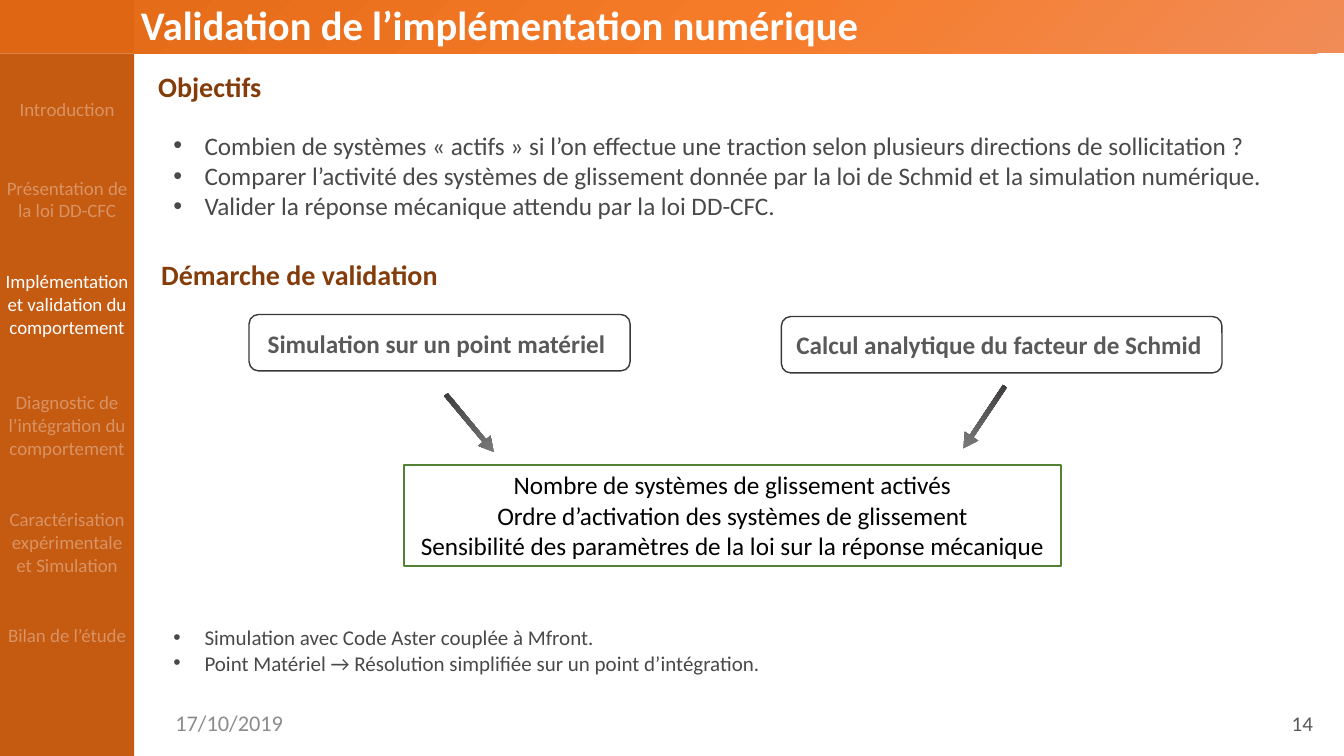
from dataclasses import dataclass

from lxml import etree
from pptx import Presentation
from pptx.dml.color import RGBColor
from pptx.enum.shapes import MSO_SHAPE
from pptx.enum.text import MSO_ANCHOR, PP_ALIGN
from pptx.oxml.ns import qn
from pptx.util import Inches, Pt

RECT = MSO_SHAPE.RECTANGLE
ROUNDED = MSO_SHAPE.ROUNDED_RECTANGLE
ARROW = MSO_SHAPE.STRIPED_RIGHT_ARROW
LEFT, CENTER, RIGHT = PP_ALIGN.LEFT, PP_ALIGN.CENTER, PP_ALIGN.RIGHT
TOP, MIDDLE, BOTTOM = MSO_ANCHOR.TOP, MSO_ANCHOR.MIDDLE, MSO_ANCHOR.BOTTOM


@dataclass(frozen=True)
class Theme:
    font: str = "Calibri"
    white: str = "FFFFFF"
    black: str = "000000"
    sidebar: str = "C55A11"
    corner: str = "DF6613"
    heading: str = "843C0B"
    body: str = "494949"
    label: str = "595959"
    date: str = "8C8C8C"
    outline: str = "3B3838"
    result: str = "548235"
    banner: tuple = ((0, "F18C57"), (50, "F67B28"), (100, "E56C19"))
    arrow: tuple = ((0, "808080"), (100, "3B3838"))
    title_size: float = 29
    heading_size: float = 20
    body_size: float = 18
    date_size: float = 16
    note_size: float = 15
    nav_size: float = 13.5
    faded: int = 35


THEME = Theme()


def add_text(page, box, lines, size, color, bold=False, align=LEFT, anchor=TOP,
             wrap=True, spacing=None, bullet=False, alpha=None):
    """Place a text box; alpha is the opacity of the letters in percent."""
    shape = page.shapes.add_textbox(*map(Inches, box))
    frame = shape.text_frame
    frame.text = "\n".join(lines)
    frame.word_wrap = wrap
    frame.vertical_anchor = anchor
    for para in frame.paragraphs:
        para.alignment = align
        if spacing:
            para.line_spacing = spacing
        if bullet:
            add_bullet(para)
        for span in para.runs:
            font = span.font
            font.name, font.size, font.bold = THEME.font, Pt(size), bold
            font.color.rgb = RGBColor.from_string(color)
            if alpha:
                tone = span._r.find(".//" + qn("a:srgbClr"))
                etree.SubElement(tone, qn("a:alpha"), val=str(alpha * 1000))
    return shape


def add_bullet(para):
    properties = para._p.get_or_add_pPr()
    indent = Inches(0.31)
    properties.set("marL", str(indent))
    properties.set("indent", str(-indent))
    etree.SubElement(properties, qn("a:buFont"), typeface="Arial")
    etree.SubElement(properties, qn("a:buChar"), char="•")


def add_block(page, kind, box, fill=None, line=None):
    shape = page.shapes.add_shape(kind, *map(Inches, box))
    shape.shadow.inherit = False
    if fill:
        shape.fill.solid()
        shape.fill.fore_color.rgb = RGBColor.from_string(fill)
    else:
        shape.fill.background()
    if line:
        shape.line.color.rgb = RGBColor.from_string(line)
        shape.line.width = Pt(1)
    else:
        shape.line.fill.background()
    return shape


def set_gradient(shape, stops, angle):
    """Fill with (percent, colour) stops along a clockwise angle in degrees."""
    shape.fill.gradient()
    gradient = shape._element.spPr.find(qn("a:gradFill"))
    for child in list(gradient):
        gradient.remove(child)
    stop_list = etree.SubElement(gradient, qn("a:gsLst"))
    for percent, color in stops:
        stop = etree.SubElement(stop_list, qn("a:gs"), pos=str(percent * 1000))
        etree.SubElement(stop, qn("a:srgbClr"), val=color)
    etree.SubElement(gradient, qn("a:lin"), ang=str(angle * 60000), scaled="0")


def draw_banner(page, box, corner_width):
    left, top, width, height = box
    band = add_block(page, RECT, (left + corner_width, top, width - corner_width, height))
    set_gradient(band, THEME.banner, 225)
    add_block(page, RECT, (left, top, corner_width, height), THEME.corner)
    add_text(page, (left + 1.3, top + 0.08, 7.7, 0.46),
             ["Validation de l’implémentation numérique"], THEME.title_size,
             THEME.white, bold=True, anchor=BOTTOM, spacing=0.9)


def draw_sidebar(page, box):
    left, top, width, height = box
    add_block(page, RECT, box, THEME.sidebar)
    current = "Implémentation et validation du comportement"
    sections = [
        ("Introduction", 0.39, 1.2),
        ("Présentation de la loi DD-CFC", 1.17, 1.42),
        (current, 2.1, 1.46),
        ("Diagnostic de l’intégration du comportement", 3.3, 1.5),
        ("Caractérisation expérimentale et Simulation", 4.46, 1.42),
        ("Bilan de l’étude", 5.61, 1.39),
    ]
    for name, offset, label_width in sections:
        label_left = left + (width - label_width) / 2
        add_text(page, (label_left, top + offset, label_width, 0.34), [name],
                 THEME.nav_size, THEME.white, align=CENTER,
                 alpha=None if name == current else THEME.faded)


def draw_heading(page, left, top, name):
    add_text(page, (left, top, 4.84, 0.38), [name], THEME.heading_size,
             THEME.heading, bold=True, spacing=0.9)


def draw_bullets(page, box, lines, size):
    add_text(page, box, lines, size, THEME.body, bullet=True)


def draw_method(page, box, name, label_offset):
    """Draw a rounded frame with its label, given the label's left and top offset."""
    left, top, width, height = box
    add_block(page, ROUNDED, box, line=THEME.outline)
    shift, drop, label_width = label_offset
    add_text(page, (left + shift, top + drop, label_width, 0.4), [name],
             THEME.body_size, THEME.label, bold=True, align=CENTER, wrap=False)


def draw_arrow(page, left, top, rotation):
    arrow = add_block(page, ARROW, (left, top, 0.74, 0.16))
    arrow.adjustments[0], arrow.adjustments[1] = 0.281, 0.909
    arrow.rotation = rotation
    set_gradient(arrow, THEME.arrow, 180)


def draw_approach(page, box):
    left, top, width, height = box
    draw_method(page, (left, top, 3.78, 0.56),
                "Simulation sur un point matériel", (0.07, 0.09, 3.58))
    draw_method(page, (left + 5.28, top + 0.02, 4.37, 0.56),
                "Calcul analytique du facteur de Schmid", (0.03, 0.08, 4.26))
    draw_arrow(page, left + 1.82, top + 1, 50.2)
    draw_arrow(page, left + 6.92, top + 0.94, 123.7)
    result = add_text(page, (left + 1.54, top + height - 1.01, 6.51, 1.01), [
        "Nombre de systèmes de glissement activés",
        "Ordre d’activation des systèmes de glissement",
        "Sensibilité des paramètres de la loi sur la réponse mécanique",
    ], THEME.body_size, THEME.black, align=CENTER)
    result.line.color.rgb = RGBColor.from_string(THEME.result)
    result.line.width = Pt(1.5)


def draw_footer(page, top):
    add_text(page, (1.64, top, 1.29, 0.4), ["17/10/2019"], THEME.date_size,
             THEME.date, anchor=MIDDLE)
    add_text(page, (12.7, top, 0.42, 0.4), ["14"], THEME.note_size,
             THEME.label, align=RIGHT, anchor=MIDDLE, wrap=False)


def main():
    deck = Presentation()
    deck.slide_width, deck.slide_height = Inches(13.33), Inches(7.5)
    page = deck.slides.add_slide(deck.slide_layouts[6])
    draw_sidebar(page, (0, 0.53, 1.33, 6.97))
    draw_banner(page, (0, 0, 13.33, 0.53), 1.33)
    draw_heading(page, 1.47, 0.68, "Objectifs")
    draw_bullets(page, (1.62, 1.24, 11.28, 1.65), [
        "Combien de systèmes «\u00a0actifs\u00a0» si l’on effectue une traction "
        "selon plusieurs directions de sollicitation ?",
        "Comparer l’activité des systèmes de glissement donnée par la loi de "
        "Schmid et la simulation numérique.",
        "Valider la réponse mécanique attendu par la loi DD-CFC.",
    ], THEME.body_size)
    draw_heading(page, 1.5, 2.54, "Démarche de validation")
    draw_approach(page, (2.47, 3.12, 9.65, 2.5))
    draw_bullets(page, (1.62, 6.15, 11.28, 0.61), [
        "Simulation avec Code Aster couplée à Mfront.",
        "Point Matériel → Résolution simplifiée sur un point d’intégration.",
    ], THEME.note_size)
    draw_footer(page, 6.97)
    deck.save("out.pptx")


if __name__ == "__main__":
    main()
